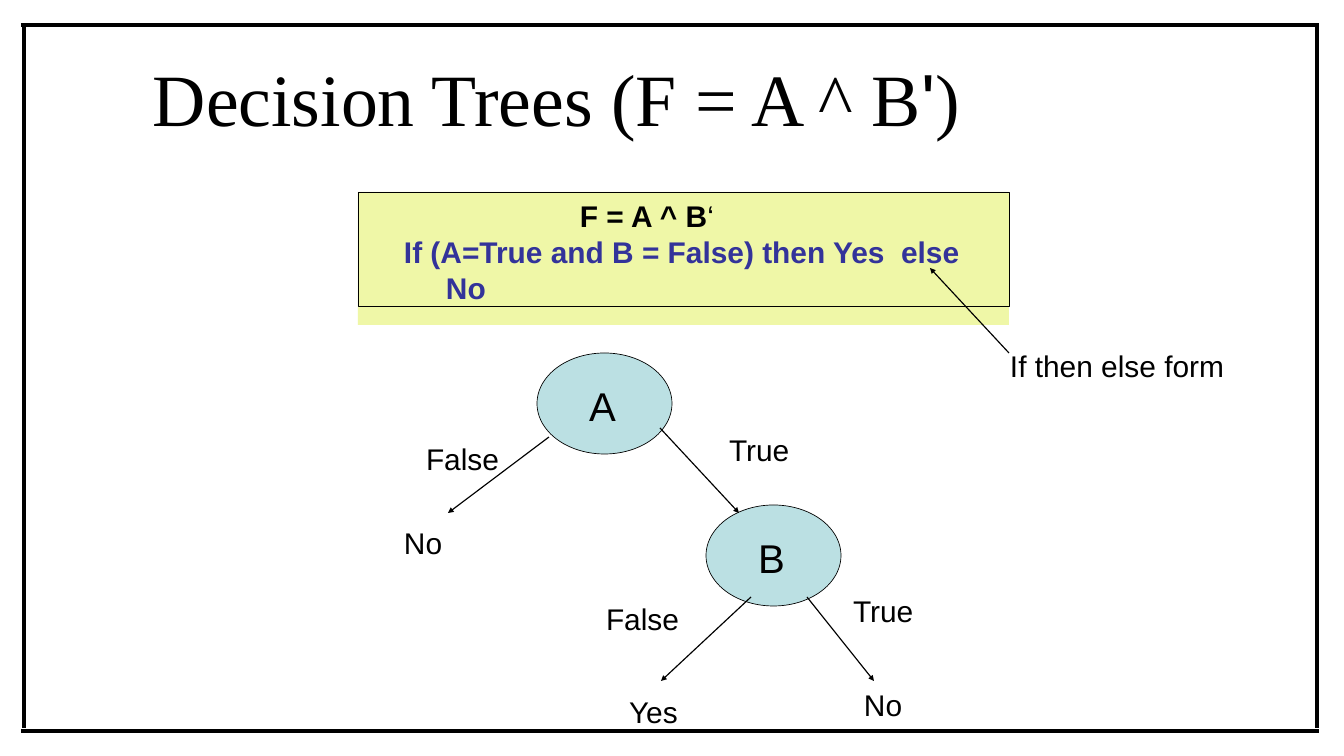
from lxml.etree import SubElement
from pptx import Presentation
from pptx.dml.color import RGBColor
from pptx.enum.shapes import MSO_CONNECTOR as CONN, MSO_SHAPE as SHAPE
from pptx.enum.text import MSO_ANCHOR as ANCHOR, PP_ALIGN as ALIGN
from pptx.oxml.ns import qn
from pptx.util import Inches, Pt

PX = Inches(1) / 67.2
BLACK = RGBColor(0x00, 0x00, 0x00)
BLUE = RGBColor(0x33, 0x33, 0x9A)
TEAL = RGBColor(0xBB, 0xE0, 0xE3)
YELLOW = RGBColor(0xEF, 0xF7, 0xA7)

prs = Presentation()
prs.slide_width, prs.slide_height = Inches(20), Inches(11.25)
s = prs.slides.add_slide(prs.slide_layouts[6])


def write(text, box=None, p=None, size=32, font="Arial", color=BLACK,
          bold=False, before=1.8):
    """Add a run to paragraph p, or to a new text box; return the paragraph."""
    if p is None:
        tf = s.shapes.add_textbox(*[round(v * PX) for v in box]).text_frame
        tf.word_wrap = True
        tf.margin_left = tf.margin_top = round(PX)
        tf.margin_right = tf.margin_bottom = 0
        p = tf.paragraphs[0]
        p.space_before = Pt(before)
    r = p.add_run()
    r.text = text
    r.font.size, r.font.name, r.font.bold = Pt(size), font, bold
    r.font.color.rgb = color
    return p


def line(x1, y1, x2, y2, width, arrow=False):
    sp = s.shapes.add_connector(CONN.STRAIGHT, *[round(v * PX) for v in (x1, y1, x2, y2)])
    sp.line.color.rgb = BLACK
    sp.line.width = Pt(width)
    if arrow:
        SubElement(sp.line._get_or_add_ln(), qn("a:tailEnd"), type="triangle", w="med", len="med")
    SubElement(sp._element.spPr, qn("a:effectLst"))


# Slide frame
for y in (25, 731):
    line(21, y, 1319, y, 5.2)
for x in (24, 1317):
    line(x, 27, x, 728, 5.2)

# Title
p = write("Decision Trees (F = A ^ B", (152, 52, 1041, 91), size=79, font="Times New Roman")
write("'", p=p, size=79)
write(")", p=p, size=79, font="Times New Roman")

# Tree nodes
for name, x, y in (("A", 537, 353), ("B", 706, 505)):
    sp = s.shapes.add_shape(SHAPE.OVAL, *[round(v * PX) for v in (x, y, 135, 101)])
    sp.shadow.inherit = False
    sp.fill.solid()
    sp.fill.fore_color.rgb = TEAL
    sp.line.color.rgb = BLACK
    sp.line.width = Pt(0.75)
    write(name, (x + 51, y + 27, 34, 50), size=43)

# Rule box: yellow ground, then the outlined text
for height in (133, 114):
    sp = s.shapes.add_shape(SHAPE.RECTANGLE, *[round(v * PX) for v in (358, 192, 651, height)])
    sp.shadow.inherit = False
    if height == 133:
        sp.fill.solid()
        sp.fill.fore_color.rgb = YELLOW
        sp.line.fill.background()
    else:
        sp.fill.background()
        sp.line.color.rgb = BLACK
        sp.line.width = Pt(0.75)
tf = sp.text_frame
tf.word_wrap = True
tf.vertical_anchor = ANCHOR.TOP
tf.margin_left = tf.margin_right = tf.margin_bottom = 0
tf.margin_top = round(6 * PX)
rules = [
    (222, 6.2, BLACK, "F = A ^ B"),
    (46, 0.1, BLUE, "If (A=True and B = False) then Yes  else"),
    (88, 0, BLUE, "No"),
]
for i, (indent, before, color, text) in enumerate(rules):
    p = tf.add_paragraph() if i else tf.paragraphs[0]
    p.alignment = ALIGN.LEFT
    p.space_before = Pt(before)
    p._p.get_or_add_pPr().set("marL", str(round(indent * PX)))
    write(text, p=p, color=color, bold=True)
write("\u2018", p=tf.paragraphs[0])

# Arrows
for ends in [
    (549, 437, 448, 513),
    (660, 428, 739, 513),
    (751, 597, 661, 681),
    (807, 597, 874, 681),
    (1009, 353, 930, 268),
]:
    line(*ends, 1.25, arrow=True)

# Branch labels, leaves and the note
for text, x, y, w in [
    ("False", 425, 440, 86),
    ("True", 728, 431, 73),
    ("No", 403, 524, 47),
    ("False", 605, 600, 86),
    ("True", 852, 592, 73),
    ("Yes", 628, 693, 62),
    ("No", 863, 686, 47),
    ("If then else form", 1009, 347, 245),
]:
    write(text, (x, y, w, 38))

prs.save("out.pptx")
